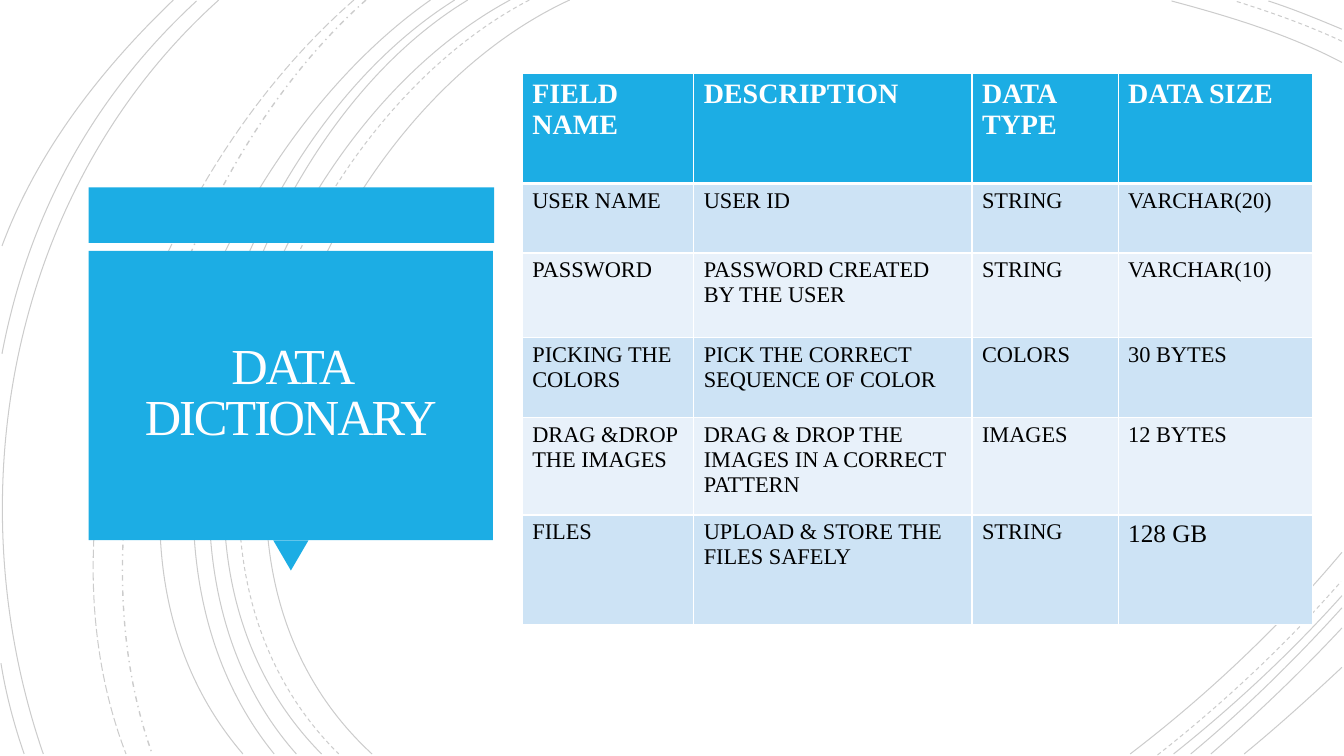
from typing import NamedTuple

from lxml.etree import SubElement
from pptx import Presentation
from pptx.dml.color import RGBColor
from pptx.enum.dml import MSO_LINE_DASH_STYLE as Dash
from pptx.enum.shapes import MSO_SHAPE as Preset
from pptx.enum.text import MSO_ANCHOR as Anchor, PP_ALIGN as Align
from pptx.oxml.ns import qn
from pptx.slide import Slide
from pptx.table import _Cell as Cell
from pptx.text.text import _Paragraph as Paragraph
from pptx.util import Inches, Pt

BLUE = RGBColor(0x1C, 0xAD, 0xE4)
PALE_BLUE = RGBColor(0xCD, 0xE3, 0xF5)
PALEST_BLUE = RGBColor(0xE8, 0xF1, 0xFA)
BLACK = RGBColor(0, 0, 0)
WHITE = RGBColor(0xFF, 0xFF, 0xFF)
TITLE_WHITE = RGBColor(0xFF, 0xFE, 0xFF)
FONT = "Times New Roman"

Point = tuple[float, float]


class Arc(NamedTuple):
    start: Point
    control_a: Point
    control_b: Point
    end: Point
    dash: Dash = Dash.SOLID
    weight: float = 0.75


class Block(NamedTuple):
    preset: Preset
    left: float
    top: float
    width: float
    height: float
    rotation: float = 0


class Field(NamedTuple):
    name: str
    description: str
    data_type: str
    size: str
    height: float


ARCS = [
    Arc((5.65, 0), (3.15, 1.15), (1.43, 5.4), (3.69, 7.48)),
    Arc((13.31, 0.62), (12.78, 0.34), (12.18, 0.16), (11.62, 0.01)),
    Arc((11.21, 7.48), (11.97, 6.9), (12.69, 6.22), (13.31, 5.48)),
    Arc((5.25, 0), (2.85, 1.25), (1.23, 5.37), (3.36, 7.48), Dash.DASH),
    Arc((13.31, 0.41), (12.97, 0.25), (12.6, 0.12), (12.25, 0.01), Dash.DASH),
    Arc((11.48, 7.49), (12.13, 6.98), (12.75, 6.4), (13.3, 5.77), Dash.DASH),
    Arc((5.06, 0), (2.7, 1.27), (1.1, 5.37), (3.19, 7.48)),
    Arc((13.31, 0.29), (13.07, 0.19), (12.83, 0.09), (12.58, 0.01)),
    Arc((11.64, 7.48), (12.23, 7.01), (12.8, 6.48), (13.31, 5.91)),
    Arc((4.64, 0), (2.44, 1.33), (1.1, 5.41), (2.94, 7.48)),
    Arc((11.81, 7.48), (12.34, 7.04), (12.84, 6.55), (13.31, 6.03)),
    Arc((4.51, 0), (2.31, 1.38), (0.97, 5.33), (2.72, 7.48)),
    Arc((12.01, 7.48), (12.46, 7.09), (12.9, 6.67), (13.31, 6.23)),
    Arc((4.27, 0), (2.17, 1.47), (0.53, 5.29), (2.41, 7.48)),
    Arc((12.34, 7.48), (12.67, 7.21), (12.99, 6.92), (13.31, 6.62)),
    Arc((3.63, 0), (1.76, 1.66), (0.65, 5.09), (1.51, 7.48), Dash.DASH_DOT, 1),
    Arc((3.51, 0), (1.57, 1.69), (0.29, 4.99), (1.25, 7.48), Dash.LONG_DASH),
    Arc((2.17, 0), (0.11, 1.85), (-0.46, 4.9), (0.43, 7.48)),
    Arc((1.95, 0.01), (0.92, 0.96), (0.28, 2.14), (0.02, 3.51)),
    Arc((0.01, 6.58), (0.06, 6.89), (0.14, 7.19), (0.24, 7.48)),
    Arc((1.72, 0), (1, 0.69), (0.37, 1.5), (0.02, 2.44)),
]

BLOCKS = [
    Block(Preset.RECTANGLE, 0.88, 1.86, 4.02, 0.55),
    Block(Preset.ISOSCELES_TRIANGLE, 2.71, 5.36, 0.35, 0.3, 180),
    Block(Preset.RECTANGLE, 0.88, 2.49, 4.01, 2.87),
]

COLUMN_WIDTHS = [1.7, 2.76, 1.45, 1.93]
FIELDS = [
    Field("FIELD NAME", "DESCRIPTION", "DATA TYPE", "DATA SIZE", 1.09),
    Field("USER NAME", "USER ID", "STRING", "VARCHAR(20)", 0.69),
    Field("PASSWORD", "PASSWORD CREATED BY THE USER", "STRING", "VARCHAR(10)", 0.84),
    Field("PICKING THE COLORS", "PICK THE CORRECT SEQUENCE OF COLOR", "COLORS", "30 BYTES", 0.79),
    Field("DRAG &DROP THE IMAGES", "DRAG & DROP THE IMAGES IN A CORRECT PATTERN", "IMAGES", "12 BYTES", 0.97),
    Field("FILES", "UPLOAD & STORE THE FILES SAFELY", "STRING", "128 GB", 1.09),
]
SIZE_EXCEPTIONS = {"128 GB": 18}


def draw_arc(slide: Slide, arc: Arc) -> None:
    start, *bends = [
        (Inches(x), Inches(y))
        for x, y in (arc.start, arc.control_a, arc.control_b, arc.end)
    ]
    builder = slide.shapes.build_freeform(*start)
    builder.add_line_segments(bends, close=False)
    curve = builder.convert_to_shape()
    curve.shadow.inherit = False
    curve.fill.background()
    curve.line.width = Pt(arc.weight)
    curve.line.dash_style = arc.dash
    curve.line.color.rgb = BLACK
    ink = next(curve.line._ln.iter(qn("a:srgbClr")))
    SubElement(ink, qn("a:alpha"), val="20000")

    outline = next(curve._element.iter(qn("a:path")))
    segments = outline.findall(qn("a:lnTo"))
    bezier = SubElement(outline, qn("a:cubicBezTo"))
    for segment in segments:
        bezier.append(segment[0])
        outline.remove(segment)


def draw_block(slide: Slide, block: Block) -> None:
    panel = slide.shapes.add_shape(
        block.preset, Inches(block.left), Inches(block.top),
        Inches(block.width), Inches(block.height),
    )
    panel.rotation = block.rotation
    panel.shadow.inherit = False
    panel.fill.solid()
    panel.fill.fore_color.rgb = BLUE
    panel.line.fill.background()


def style_text(paragraph: Paragraph, size: float, color: RGBColor, bold: bool = False) -> None:
    paragraph.font.name = FONT
    paragraph.font.size = Pt(size)
    paragraph.font.bold = bold
    paragraph.font.color.rgb = color


def draw_title(slide: Slide) -> None:
    title = slide.shapes.add_textbox(Inches(0.97), Inches(2.57), Inches(3.83), Inches(2.69))
    frame = title.text_frame
    frame.word_wrap = True
    frame.vertical_anchor = Anchor.MIDDLE
    frame.margin_left = frame.margin_right = Inches(0.25)
    frame.margin_top = frame.margin_bottom = Inches(0.25)
    heading = frame.paragraphs[0]
    heading.alignment = Align.CENTER
    heading.line_spacing = 0.85
    style_text(heading, 36, TITLE_WHITE)
    wording = heading.add_run()
    wording.text = "DATA DICTIONARY"
    wording._r.get_or_add_rPr().set("spc", "-150")


def draw_borders(cell: Cell, top: float, bottom: float) -> None:
    properties = cell._tc.get_or_add_tcPr()
    for side, weight in (("lnL", 1), ("lnR", 1), ("lnT", top), ("lnB", bottom)):
        border = SubElement(properties, qn(f"a:{side}"), w=str(Pt(weight)))
        paint = SubElement(border, qn("a:solidFill"))
        SubElement(paint, qn("a:srgbClr"), val=str(WHITE))


def draw_dictionary(slide: Slide) -> None:
    dictionary = slide.shapes.add_table(
        len(FIELDS), len(COLUMN_WIDTHS), Inches(5.18), Inches(0.73),
        Inches(sum(COLUMN_WIDTHS)), Inches(sum(field.height for field in FIELDS)),
    ).table
    dictionary.horz_banding = False
    for column, width in zip(dictionary.columns, COLUMN_WIDTHS):
        column.width = Inches(width)
    for index, field in enumerate(FIELDS):
        header = index == 0
        band = BLUE if header else PALE_BLUE if index % 2 else PALEST_BLUE
        dictionary.rows[index].height = Inches(field.height)
        for cell, wording in zip(dictionary.rows[index].cells, field[:4]):
            cell.text = wording
            size = 20 if header else SIZE_EXCEPTIONS.get(wording, 16)
            style_text(cell.text_frame.paragraphs[0], size, WHITE if header else BLACK, header)
            draw_borders(cell, 3 if index == 1 else 1, 3 if header else 1)
            cell.fill.solid()
            cell.fill.fore_color.rgb = band


def main() -> None:
    deck = Presentation()
    deck.slide_width = Inches(13.33)
    deck.slide_height = Inches(7.5)
    slide = deck.slides.add_slide(deck.slide_layouts[6])
    for arc in ARCS:
        draw_arc(slide, arc)
    for block in BLOCKS:
        draw_block(slide, block)
    draw_title(slide)
    draw_dictionary(slide)
    deck.save("out.pptx")


if __name__ == "__main__":
    main()
